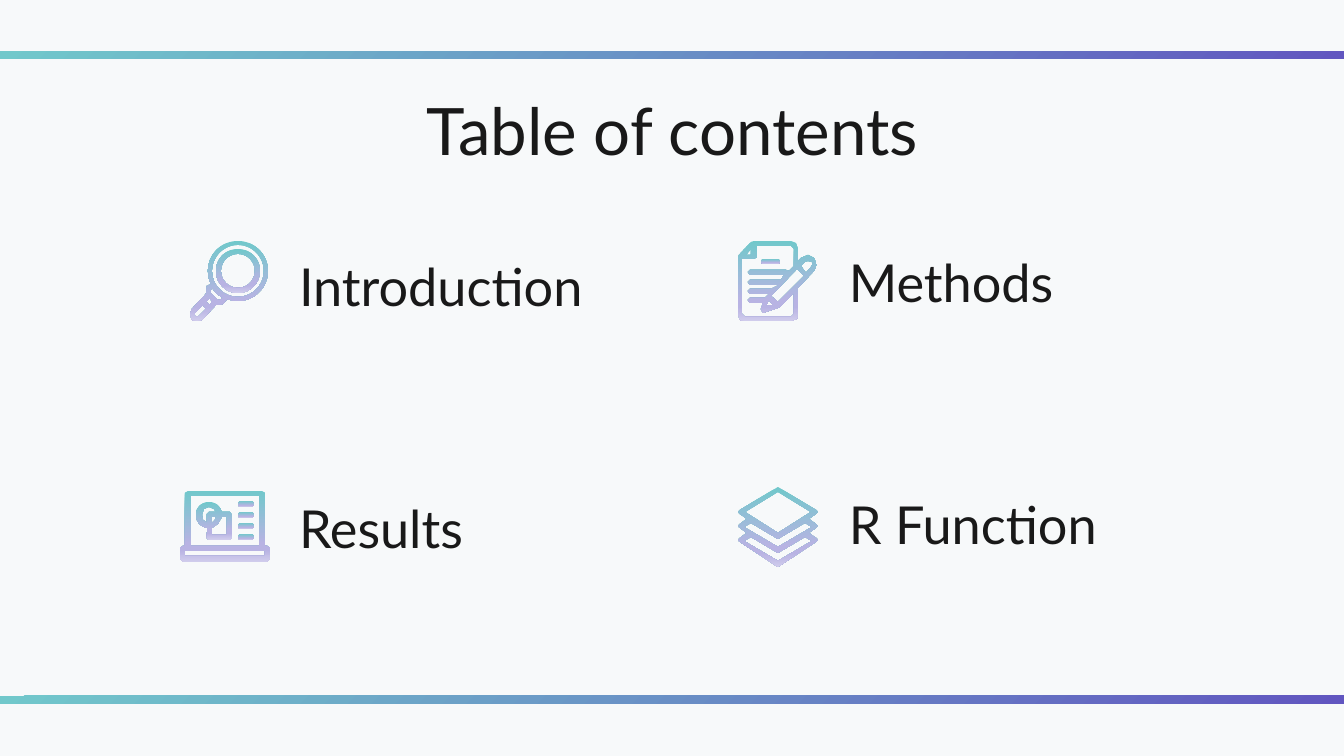
import math

from lxml import etree
from pptx import Presentation
from pptx.dml.color import RGBColor
from pptx.enum.shapes import MSO_SHAPE
from pptx.enum.text import MSO_ANCHOR, MSO_AUTO_SIZE, PP_ALIGN
from pptx.oxml.ns import qn
from pptx.util import Emu, Pt

SCALE = 914400 / 134.4
ROUNDED = MSO_SHAPE.ROUNDED_RECTANGLE
TOP, BOTTOM = MSO_ANCHOR.TOP, MSO_ANCHOR.BOTTOM
NO_FIT = MSO_AUTO_SIZE.NONE
LEFT, CENTER = PP_ALIGN.LEFT, PP_ALIGN.CENTER
BAR_STOPS = [(0, "71C8CB"), (100, "6156C0")]
ICON_STOPS = [(0, "71C8CB"), (74, "B8B3E3"), (83, "B8B3E3"), (100, "D0CCEC")]


def px(value):
    return Emu(round(value * SCALE))


def color(value):
    return RGBColor.from_string(value)


def arc(center_x, center_y, radius, start=0, end=360):
    steps = 60
    angles = [math.radians(start + (end - start) * step / steps) for step in range(steps + 1)]
    return [(center_x + radius * math.cos(angle), center_y + radius * math.sin(angle))
            for angle in angles]


def rectangle(left, top, right, bottom):
    return [(left, top), (right, top), (right, bottom), (left, bottom)]


def mirror(center_x, half):
    return ([(center_x + x, y) for x, y in half]
            + [(center_x - x, y) for x, y in reversed(half)])


class SlideBuilder:
    font_name = "Lato"
    text_color = "191919"
    margin = 13

    def __init__(self, slide):
        self.slide = slide
        fill = slide.background.fill
        fill.solid()
        fill.fore_color.rgb = color("F7F9FA")

    def gradient(self, shape, stops, angle):
        shape.shadow.inherit = False
        shape.line.fill.background()
        shape.fill.gradient()
        shape.fill.gradient_angle = 360 - angle
        stop_list = shape.element.spPr.find(qn("a:gradFill")).find(qn("a:gsLst"))
        for stop in list(stop_list):
            stop_list.remove(stop)
        for position, value in stops:
            stop = etree.SubElement(stop_list, qn("a:gs"), pos=str(position * 1000))
            etree.SubElement(stop, qn("a:srgbClr"), val=value)

    def bar(self, left, top, width, height, stops, angle, rounding):
        shape = self.slide.shapes.add_shape(ROUNDED, px(left), px(top), px(width), px(height))
        shape.adjustments[0] = rounding
        self.gradient(shape, stops, angle)

    def icon(self, *contours):
        outlines = [[(px(x), px(y)) for x, y in contour] for contour in contours]
        builder = self.slide.shapes.build_freeform(*outlines[0][0], scale=1.0)
        builder.add_line_segments(outlines[0][1:], close=True)
        for outline in outlines[1:]:
            builder.move_to(*outline[0])
            builder.add_line_segments(outline[1:], close=True)
        self.gradient(builder.convert_to_shape(), ICON_STOPS, 90)

    def text(self, placeholder, text, box, size, anchor, alignment):
        placeholder.left, placeholder.top, placeholder.width, placeholder.height = map(px, box)
        frame = placeholder.text_frame
        frame.text = text
        frame.word_wrap = True
        frame.auto_size = NO_FIT
        frame.vertical_anchor = anchor
        frame.margin_left = frame.margin_right = px(self.margin)
        frame.margin_top = frame.margin_bottom = px(self.margin)
        paragraph = frame.paragraphs[0]
        properties = paragraph._p.get_or_add_pPr()
        properties.set("marL", "0")
        properties.set("indent", "0")
        etree.SubElement(properties, qn("a:buNone"))
        paragraph.alignment = alignment
        paragraph.space_before = Pt(0)
        paragraph.font.name = self.font_name
        paragraph.font.size = Pt(size)
        paragraph.font.bold = False
        paragraph.font.color.rgb = color(self.text_color)


def draw_magnifier(builder):
    builder.icon(
        arc(238, 271, 30, 154, 471)
        + [(223, 304), (219, 305), (216, 305), (202, 320), (197, 321), (192, 320),
           (190, 314), (192, 309), (206, 294), (207, 286)],
        arc(238, 271, 26),
        [(212, 288), (217, 294), (223, 298), (220, 300), (218, 300), (211, 293), (211, 290)],
        [(210, 298), (212, 302), (210, 305), (206, 302)],
        [(203, 305), (206, 309), (199, 316), (197, 317), (195, 316), (195, 313)])
    builder.icon(arc(238, 271, 22), arc(238, 271, 17))


def draw_laptop(builder):
    builder.icon(
        arc(209, 515, 13, 98, 347)
        + [(230, 512), (232, 515), (232, 538), (230, 540), (209, 540), (207, 538)],
        [(216, 517), (215, 520), (212, 523), (212, 517)],
        [(209, 507), (214, 509), (216, 512), (209, 512), (207, 514), (207, 523),
         (203, 520), (202, 515), (204, 509)],
        [(227, 517), (227, 535), (212, 535), (212, 528), (218, 524), (222, 517)])
    for row in range(4):
        builder.bar(238, 501 + 11 * row, 16, 6, ICON_STOPS, 90, 0.5)
    builder.icon(
        mirror(225, [(37, 491), (40, 493), (40, 546), (42, 546), (45, 548), (45, 559), (42, 562)]),
        rectangle(191, 496, 259, 546),
        rectangle(185, 551, 265, 556))


def draw_document(builder):
    builder.bar(761, 259, 19, 5, ICON_STOPS, 90, 0.5)
    text_lines = []
    for top, end in [(270, 786), (280, 781), (289, 771), (298, 765)]:
        text_lines += [(end, top), (750, top), (748, top + 2), (750, top + 5), (end - 2, top + 5)]
    builder.icon(
        [(754, 241), (751, 242), (739, 255), (738, 258), (738, 314), (740, 320), (745, 321),
         (791, 321), (797, 319), (798, 314), (798, 288), (814, 271), (817, 265), (814, 258),
         (808, 255), (801, 258), (798, 261), (798, 249), (796, 243), (791, 241)],
        [(751, 249), (751, 255), (746, 255)],
        [(808, 261), (812, 262), (813, 264), (811, 267), (806, 273), (801, 266), (805, 262)],
        [(797, 269), (804, 276), (778, 302), (771, 296)],
        [(769, 300), (773, 305), (766, 306)],
        [(791, 246), (794, 249), (794, 266), (789, 271)] + text_lines
        + [(761, 309), (763, 313), (778, 308), (780, 307), (794, 293), (794, 314), (791, 317),
           (745, 317), (742, 314), (742, 259), (754, 259), (757, 257), (757, 246)])


def draw_layers(builder):
    edge = [(0, 487)]
    for level in range(3):
        drop = 14 * level
        edge += [(38, 510 + drop), (40, 512 + drop), (38, 514 + drop)]
        if level < 2:
            edge.append((31, 519 + drop))
    edge.append((0, 567))
    lower_layers = [mirror(778, [(0, 539 + drop), (27, 523 + drop), (34, 527 + drop),
                                 (0, 547 + drop)]) for drop in (0, 14)]
    builder.icon(mirror(778, edge), mirror(778, [(0, 492), (33, 512), (0, 533)]), *lower_layers)


def main():
    presentation = Presentation()
    presentation.slide_width, presentation.slide_height = px(1344), px(756)
    slide = presentation.slides.add_slide(presentation.slide_layouts[4])
    builder = SlideBuilder(slide)
    for top in (51, 696):
        builder.bar(0, top, 1344, 8, BAR_STOPS, 45, 0)
    title, *topics = slide.placeholders
    builder.text(title, "Table of contents", (106, 77, 1133, 85), 35, TOP, CENTER)
    contents = [("Introduction", 286, 259, 337), ("Methods", 836, 255, 263),
                ("Results", 286, 501, 207), ("R Function", 836, 497, 312)]
    for placeholder, (topic, left, top, width) in zip(topics, contents):
        builder.text(placeholder, topic, (left, top, width, 71), 28, BOTTOM, LEFT)
    for draw in (draw_magnifier, draw_laptop, draw_document, draw_layers):
        draw(builder)
    presentation.save("out.pptx")


if __name__ == "__main__":
    main()
